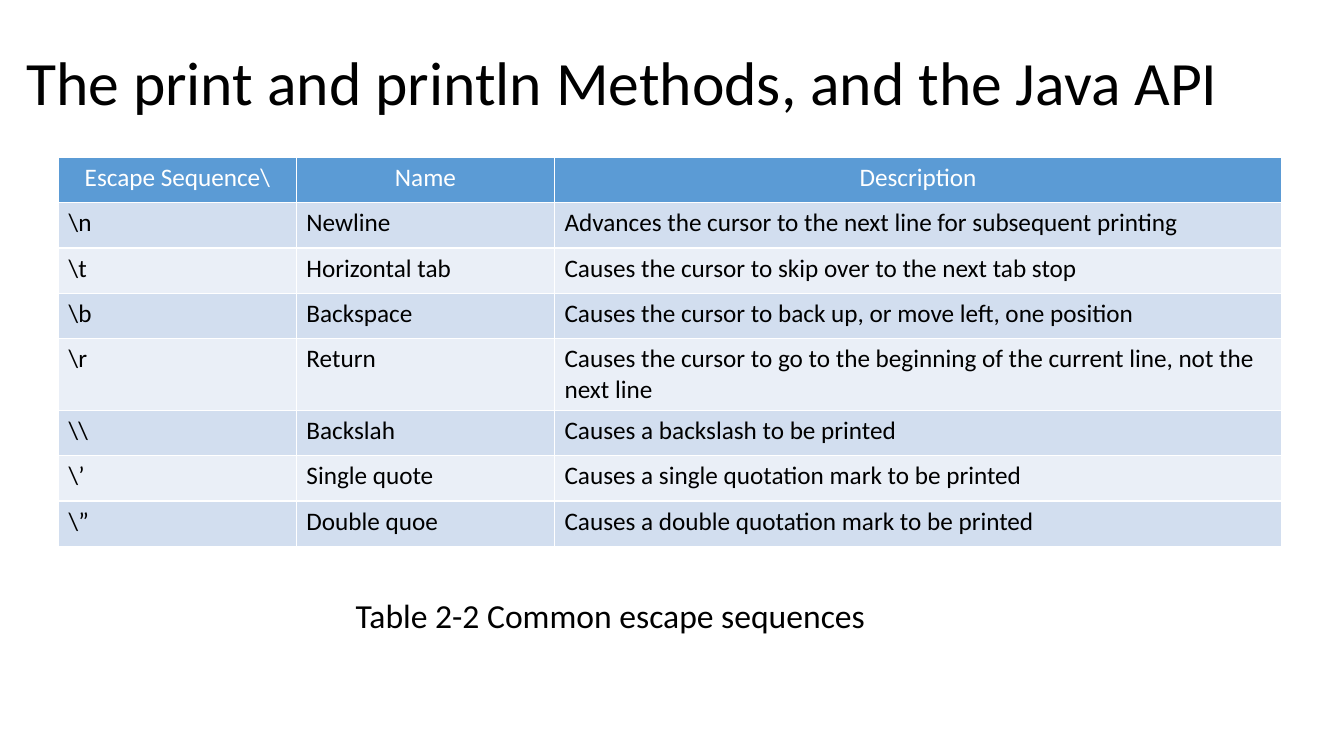
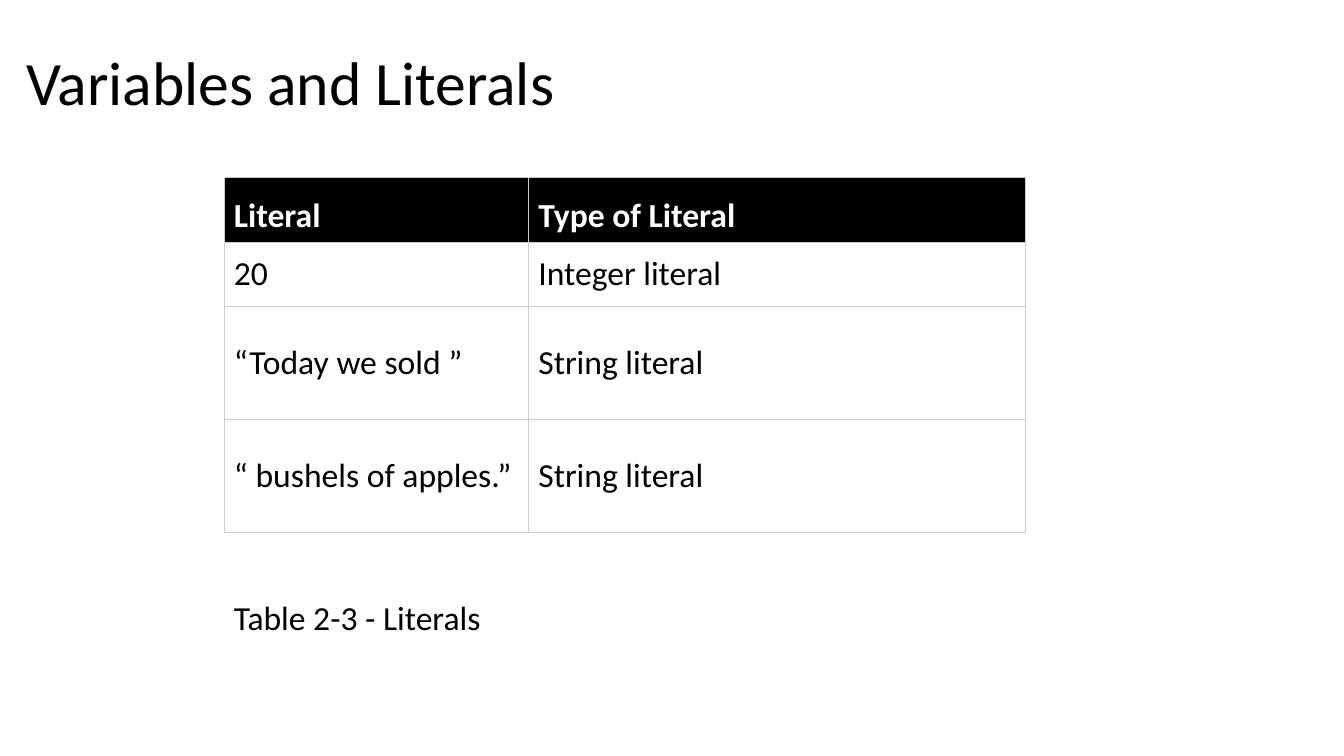
from lxml import etree
from pptx import Presentation
from pptx import util as u
from pptx.dml.color import RGBColor
from pptx.enum import text
from pptx.oxml import ns

PX = 9144  # EMU, 100 px to the inch
BLACK = RGBColor(0x00, 0x00, 0x00)
WHITE = RGBColor(0xFF, 0xFF, 0xFF)
BLUE = RGBColor(0x5B, 0x9B, 0xD5)
BAND_DARK = RGBColor(0xD2, 0xDE, 0xEF)
BAND_LIGHT = RGBColor(0xEA, 0xEF, 0xF7)
GREY = RGBColor(0xCD, 0xCD, 0xCD)

LEFT, CENTER = text.PP_ALIGN.LEFT, text.PP_ALIGN.CENTER
TOP, MIDDLE, BOTTOM = (text.MSO_ANCHOR.TOP, text.MSO_ANCHOR.MIDDLE,
                       text.MSO_ANCHOR.BOTTOM)

ESCAPES = [
    ("Escape Sequence\\", "Name", "Description"),
    ("\\n", "Newline", "Advances the cursor to the next line for subsequent printing"),
    ("\\t", "Horizontal tab", "Causes the cursor to skip over to the next tab stop"),
    ("\\b", "Backspace", "Causes the cursor to back up, or move left, one position"),
    ("\\r", "Return", "Causes the cursor to go to the beginning of the current line, "
                      "not the next line"),
    ("\\\\", "Backslah", "Causes a backslash to be printed"),
    ("\\’", "Single quote", "Causes a single quotation mark to be printed"),
    ("\\”", "Double quoe", "Causes a double quotation mark to be printed"),
]
LITERALS = [
    ("Literal", "Type of Literal"),
    ("20", "Integer literal"),
    ("“Today we sold ”", "String literal"),
    ("“ bushels of apples.”", "String literal"),
]
BLUE_STYLE = {
    "size": 18, "border": (WHITE, 1),
    "head": {"fill": BLUE, "align": CENTER, "anchor": TOP, "bold": False},
    "bands": (BAND_DARK, BAND_LIGHT), "anchor": TOP,
}
BLACK_STYLE = {
    "size": 24, "border": (GREY, 0.5),
    "head": {"fill": BLACK, "align": LEFT, "anchor": BOTTOM, "bold": True},
    "bands": (WHITE,), "anchor": MIDDLE,
}


def set_borders(cell, color, points):
    """Draw the same line on all four sides of a cell."""
    props = cell._tc.get_or_add_tcPr()
    for place, side in enumerate(("lnL", "lnR", "lnT", "lnB")):
        line = etree.Element(ns.qn(f"a:{side}"), w=str(int(u.Pt(points))))
        fill = etree.SubElement(line, ns.qn("a:solidFill"))
        etree.SubElement(fill, ns.qn("a:srgbClr"), val=str(color))
        props.insert(place, line)


class Slides:
    font = "Calibri"

    def __init__(self):
        self.deck = Presentation()
        self.deck.slide_width, self.deck.slide_height = 1333 * PX, 750 * PX
        self.page = None

    def add_text(self, frame, words, size, color=BLACK, bold=False, align=LEFT):
        para = frame.paragraphs[0]
        para.alignment = align
        span = para.add_run()
        span.text = words
        span.font.color.rgb = color
        formats = {"name": self.font, "size": u.Pt(size), "bold": bold}
        for name, value in formats.items():
            setattr(span.font, name, value)
        return para

    def add_page(self, title):
        self.page = self.deck.slides.add_slide(self.deck.slide_layouts[5])
        box = self.page.shapes.title
        place = {"left": 16, "top": 40, "width": 1299, "height": 89}
        for name, value in place.items():
            setattr(box, name, value * PX)
        frame = box.text_frame
        frame.auto_size = text.MSO_AUTO_SIZE.NONE
        frame.vertical_anchor = MIDDLE
        self.add_text(frame, title, 44).line_spacing = 0.9

    def add_caption(self, words, left, top, width):
        box = self.page.shapes.add_textbox(left * PX, top * PX, width * PX, 50 * PX)
        box.text_frame.word_wrap = True
        self.add_text(box.text_frame, words, 24)

    def add_table(self, rows, left, top, widths, heights, style):
        table = self.page.shapes.add_table(
            len(rows), len(widths), left * PX, top * PX,
            sum(widths) * PX, sum(heights) * PX).table
        table.horz_banding = False
        for column, width in zip(table.columns, widths):
            column.width = width * PX
        for row, height in zip(table.rows, heights):
            row.height = height * PX
        head, bands = style["head"], style["bands"]
        for i, words in enumerate(rows):
            for cell, word in zip(table.rows[i].cells, words):
                cell.fill.solid()
                if i == 0:
                    cell.fill.fore_color.rgb = head["fill"]
                    cell.vertical_anchor = head["anchor"]
                    self.add_text(cell.text_frame, word, style["size"], WHITE,
                                  head["bold"], head["align"])
                else:
                    cell.fill.fore_color.rgb = bands[(i - 1) % len(bands)]
                    cell.vertical_anchor = style["anchor"]
                    self.add_text(cell.text_frame, word, style["size"])
                set_borders(cell, *style["border"])


def main():
    slides = Slides()

    slides.add_page("The print and println Methods, and the Java API")
    slides.add_table(ESCAPES, 58, 156, (236, 256, 721), [45] * len(ESCAPES), BLUE_STYLE)
    slides.add_caption("Table 2-2 Common escape sequences", 343, 585, 626)

    slides.add_page("Variables and Literals")
    slides.add_table(LITERALS, 222, 176, (302, 493), (64, 64, 112, 112), BLACK_STYLE)
    slides.add_caption("Table 2-3 - Literals", 222, 587, 795)

    slides.deck.save("out.pptx")


if __name__ == "__main__":
    main()
